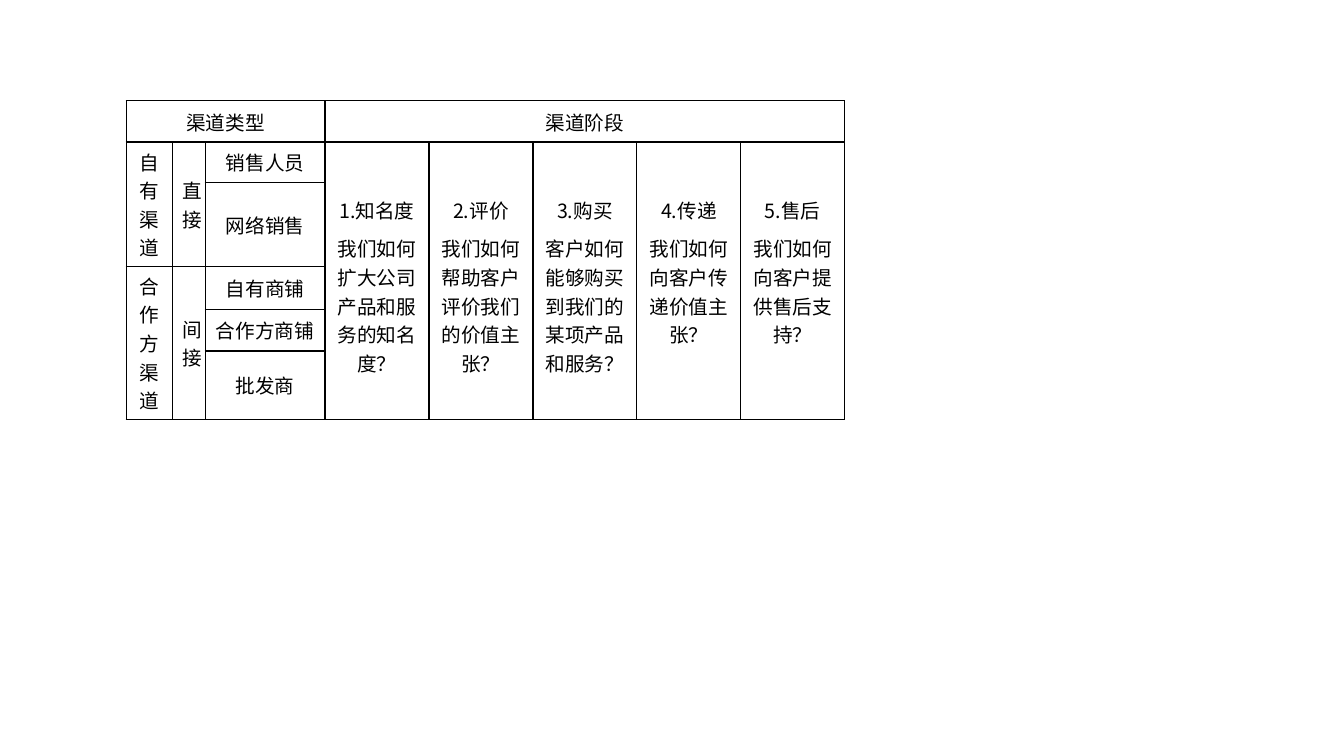
from lxml import etree
from pptx import Presentation
from pptx.dml.color import RGBColor
from pptx.enum.text import MSO_ANCHOR, PP_ALIGN
from pptx.oxml.ns import qn
from pptx.util import Cm, Pt

BLACK = "000000"
CJK_FONT, LATIN_FONT = "Noto Sans CJK SC", "Calibri"
NO_STYLE = "{2D5ABB26-0587-4C30-8999-92F81FD0307C}"

COLUMN_WIDTHS = [1.17, 0.82, 3.02] + [2.62] * 5
ROW_HEIGHTS = [1.04, 1.02, 1.17, 0.79, 1.09, 1.04, 1.04]
FIRST_STAGE_COLUMN, QUESTION_ROW = 3, 3

# text, row, column, rows spanned, columns spanned
HEADERS = [("渠道类型", 0, 0, 1, 3), ("渠道阶段", 0, 3, 1, 5)]
VERTICAL_LABELS = [("自有渠道", 1, 0, 3, 1), ("直接", 1, 1, 3, 1),
                   ("间接", 4, 1, 3, 1)]
PARTNER_LABEL = ("合作方渠道", 4, 0, 3, 1)
CHANNELS = [("销售人员", 1, 2, 1, 1), ("网络销售", 2, 2, 2, 1),
            ("自有商铺", 4, 2, 1, 1), ("合作方商铺", 5, 2, 1, 1),
            ("批发商", 6, 2, 1, 1)]
STAGES = [("1.知名度", "我们如何扩大公司产品和服务的知名度？"),
          ("2.评价", "我们如何帮助客户评价我们的价值主张？"),
          ("3.购买", "客户如何能够购买到我们的某项产品和服务？"),
          ("4.传递", "我们如何向客户传递价值主张？"),
          ("5.售后", "我们如何向客户提供售后支持？")]


def color(hex_value):
    """Turn a hex string into a colour."""
    return RGBColor.from_string(hex_value)


def draw_borders(cell, hidden=""):
    """Line the four sides of a cell, except the hidden one."""
    properties = cell._tc.get_or_add_tcPr()
    for side in "LRTB":
        line = etree.SubElement(properties, qn(f"a:ln{side}"), w=str(Pt(1)))
        if side == hidden:
            etree.SubElement(line, qn("a:noFill"))
        else:
            fill = etree.SubElement(line, qn("a:solidFill"))
            etree.SubElement(fill, qn("a:srgbClr"), val=BLACK)
    cell.fill.background()


def write(table, entry, font=CJK_FONT, anchor=MSO_ANCHOR.MIDDLE, vertical=False):
    """Merge the cells of an entry and set its centred text."""
    text, row, column, rows, columns = entry
    cell = table.cell(row, column)
    if rows * columns > 1:
        cell.merge(table.cell(row + rows - 1, column + columns - 1))
    cell.vertical_anchor = anchor
    if vertical:
        cell._tc.get_or_add_tcPr().set("vert", "eaVert")
    paragraph = cell.text_frame.paragraphs[0]
    paragraph.alignment = PP_ALIGN.CENTER
    run = paragraph.add_run()
    run.text = text
    run.font.size = Pt(14)
    run.font.color.rgb = color(BLACK)
    run.font.name = font
    etree.SubElement(run.font._element, qn("a:ea"), typeface=CJK_FONT)


def add_channel_table(slide):
    """Add the empty, bordered table of channels and stages."""
    frame = slide.shapes.add_table(
        len(ROW_HEIGHTS), len(COLUMN_WIDTHS), Cm(3.18), Cm(2.54),
        Cm(sum(COLUMN_WIDTHS)), Cm(sum(ROW_HEIGHTS)))
    table = frame.table
    table.first_row = table.horz_banding = False
    table._tbl.tblPr.find(qn("a:tableStyleId")).text = NO_STYLE
    for column, width in zip(table.columns, COLUMN_WIDTHS):
        column.width = Cm(width)
    for r, height in enumerate(ROW_HEIGHTS):
        table.rows[r].height = Cm(height)
        for c in range(len(COLUMN_WIDTHS)):
            hidden = ""
            if r > 0 and c >= FIRST_STAGE_COLUMN:
                # No line between a stage name and its question
                hidden = {QUESTION_ROW - 1: "B", QUESTION_ROW: "T"}.get(r, "")
                if r == 1:
                    hidden = "B"
            draw_borders(table.cell(r, c), hidden)
    return table


def main():
    """Build the slide and save it."""
    deck = Presentation()
    deck.slide_width, deck.slide_height = Cm(33.87), Cm(19.05)
    slide = deck.slides.add_slide(deck.slide_layouts[6])
    table = add_channel_table(slide)
    for entry in HEADERS + [PARTNER_LABEL]:
        write(table, entry)
    for entry in VERTICAL_LABELS:
        write(table, entry, vertical=True)
    for entry in CHANNELS:
        write(table, entry, font=LATIN_FONT)
    for column, (name, question) in enumerate(STAGES, FIRST_STAGE_COLUMN):
        write(table, (name, 1, column, 2, 1), anchor=MSO_ANCHOR.BOTTOM)
        write(table, (question, QUESTION_ROW, column, 4, 1), anchor=MSO_ANCHOR.TOP)
    deck.save("out.pptx")


main()
